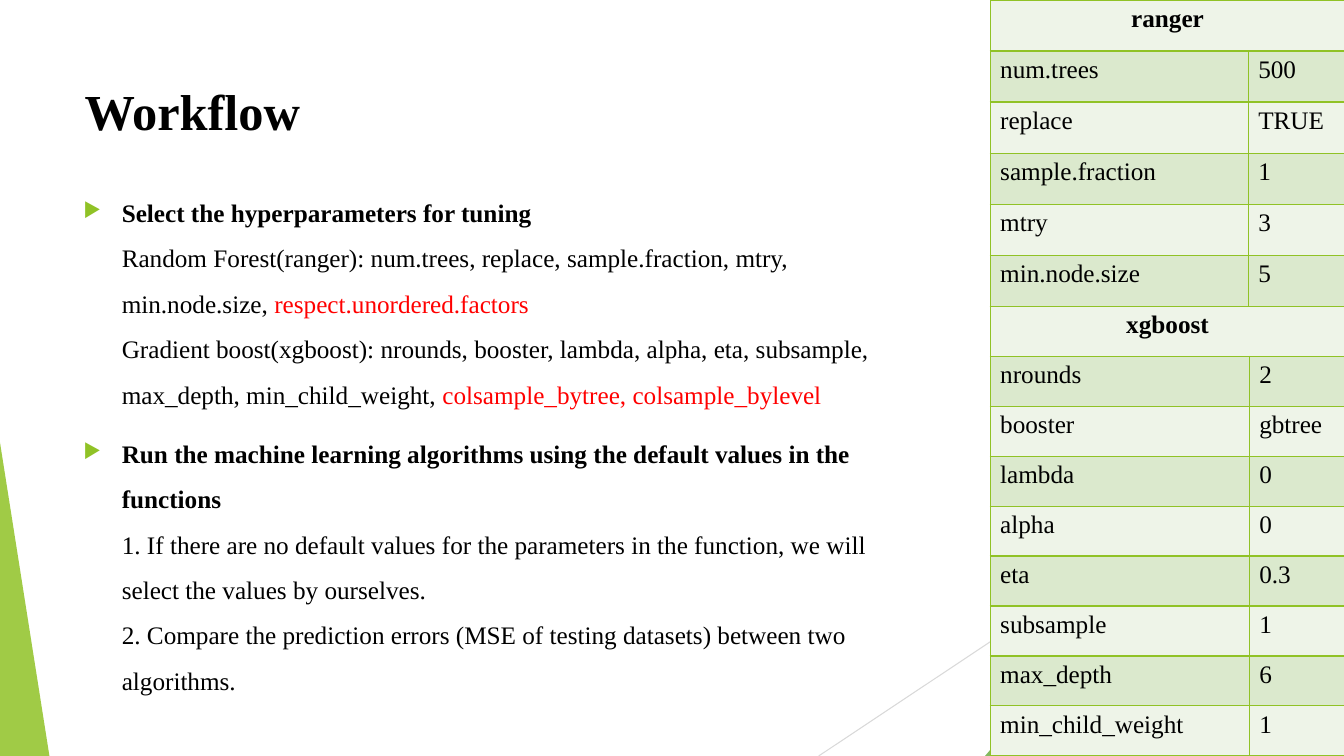
import pptx
import pptx.util
import pptx.dml.color
import pptx.enum.shapes
import pptx.enum.text
import pptx.oxml
import pptx.oxml.ns
import lxml.etree

# Content: body paragraphs hold (text, format) parts
BOLD, PLAIN, RED = {"bold": True}, {}, {"color": "FF0000"}
TITLE = [("Workflow", {"bold": True, "size": 36})]
BODY = [
    [("Select the hyperparameters for tuning\n", BOLD),
     ("Random Forest(ranger): num.trees, replace, sample.fraction, mtry, "
      "min.node.size, ", PLAIN),
     ("respect.unordered.factors\n", RED),
     ("Gradient boost(xgboost): nrounds, booster, lambda, alpha, eta, subsample, "
      "max_depth, min_child_weight, ", PLAIN),
     ("colsample_bytree, colsample_bylevel", RED)],
    [("Run the machine learning algorithms using the default values in the "
      "functions\n", BOLD),
     ("1. If there are no default values for the parameters in the function, "
      "we will select the values by ourselves.\n"
      "2. Compare the prediction errors (MSE of testing datasets) between two "
      "algorithms.", PLAIN)],
]
RANGER = [("ranger", ""), ("num.trees", "500"), ("replace", "TRUE"),
          ("sample.fraction", "1"), ("mtry", "3"), ("min.node.size", "5")]
XGBOOST = [("xgboost", ""), ("nrounds", "2"), ("booster", "gbtree"),
           ("lambda", "0"), ("alpha", "0"), ("eta", "0.3"), ("subsample", "1"),
           ("max_depth", "6"), ("min_child_weight", "1")]

# Layout and colours
WIDTH, HEIGHT = 13.33, 7.5
TABLE_LEFT, TABLE_WIDTH, RANGER_HEIGHT = 9.82, 3.52, 3.04
GREEN, BANDS = "90C226", ("EEF4E8", "DBE9CD")
DEFAULTS = {"name": "Times New Roman", "size": 18, "bold": False, "color": "000000"}
inch = pptx.util.Inches
MIDDLE = pptx.enum.text.PP_ALIGN.CENTER


def color(value):
    return pptx.dml.color.RGBColor.from_string(value)


def xml(parent, tag, **attributes):
    return lxml.etree.SubElement(parent, pptx.oxml.ns.qn(tag), attributes)


def write(paragraph, parts):
    for text, changes in parts:
        values = {**DEFAULTS, **changes}
        values["size"] = pptx.util.Pt(values["size"])
        ink = values.pop("color")
        for number, line in enumerate(text.split("\n")):
            if number:
                paragraph.add_line_break()
            if line:
                run = paragraph.add_run()
                run.text = line
                for key, value in values.items():
                    setattr(run.font, key, value)
                run.font.color.rgb = color(ink)


def add_text(slide, box, anchor, paragraphs):
    frame = slide.shapes.add_textbox(*map(inch, box)).text_frame
    frame.word_wrap = True
    frame.vertical_anchor = anchor
    for number, parts in enumerate(paragraphs):
        paragraph = frame.add_paragraph() if number else frame.paragraphs[0]
        write(paragraph, parts)
    return frame


def add_triangle(slide, box, apex, fill, opacity):
    shape = slide.shapes.add_shape(
        pptx.enum.shapes.MSO_SHAPE.ISOSCELES_TRIANGLE, *map(inch, box))
    shape.adjustments[0] = apex
    shape.shadow.inherit = False
    shape.line.fill.background()
    shape.fill.solid()
    shape.fill.fore_color.rgb = color(fill)
    for tint in shape.fill._xPr.iter(pptx.oxml.ns.qn("a:srgbClr")):
        xml(tint, "a:alpha", val=str(opacity * 1000))


def add_borders(cell):
    properties = cell._tc.get_or_add_tcPr()
    for number, side in enumerate(("a:lnL", "a:lnR", "a:lnT", "a:lnB")):
        border = xml(properties, side, w="12700")
        xml(xml(border, "a:solidFill"), "a:srgbClr", val=GREEN)
        properties.remove(border)
        properties.insert(number, border)


def add_parameters(slide, rows, top, height, name_width):
    table = slide.shapes.add_table(
        len(rows), 2, inch(TABLE_LEFT), inch(top), inch(TABLE_WIDTH), inch(height)).table
    table.columns[0].width = inch(name_width)
    table.columns[1].width = inch(TABLE_WIDTH - name_width)
    for r, values in enumerate(rows):
        table.rows[r].height = inch(height / len(rows))
        for c, text in enumerate(values):
            cell = table.cell(r, c)
            cell.fill.solid()
            cell.fill.fore_color.rgb = color(BANDS[r % 2])
            add_borders(cell)
            paragraph = cell.text_frame.paragraphs[0]
            write(paragraph, [(text, PLAIN if r else BOLD)])
            if r == 0:
                paragraph.alignment = MIDDLE
    table.cell(0, 0).merge(table.cell(0, 1))


presentation = pptx.Presentation()
presentation.slide_width, presentation.slide_height = inch(WIDTH), inch(HEIGHT)
slide = presentation.slides.add_slide(presentation.slide_layouts[6])

# Background decoration
diagonal = slide.shapes.add_connector(
    pptx.enum.shapes.MSO_CONNECTOR.STRAIGHT,
    inch(WIDTH), inch(4.03), inch(8.12), inch(HEIGHT))
diagonal.line.color.rgb = color("D9D9D9")
diagonal.line.width = pptx.util.Pt(0.75)
xml(diagonal._element.spPr, "a:effectLst")
add_triangle(slide, (9.77, 3.33, 3.56, 4.17), 1, "54A021", 72)
add_triangle(slide, (0, 4.39, 0.49, 3.11), 0, GREEN, 85)

# Title and bulleted body
anchors = pptx.enum.text.MSO_ANCHOR
add_text(slide, (0.74, 0.19, 9.4, 1.25), anchors.BOTTOM, [TITLE])
body = add_text(slide, (0.73, 1.76, 8.4, 5.74), anchors.TOP, BODY)
for paragraph in body.paragraphs:
    paragraph.line_spacing = 1.5
    paragraph.space_before = pptx.util.Pt(10)
    properties = paragraph._p.get_or_add_pPr()
    properties.set("marL", str(inch(0.38)))
    properties.set("indent", str(-inch(0.38)))
    xml(xml(properties, "a:buClr"), "a:srgbClr", val=GREEN)
    xml(properties, "a:buSzPct", val="80000")
    xml(properties, "a:buChar", char="\u25b6")

# Parameter tables, stacked down the right edge
add_parameters(slide, RANGER, 0, RANGER_HEIGHT, 2.56)
add_parameters(slide, XGBOOST, RANGER_HEIGHT, HEIGHT - RANGER_HEIGHT, 2.57)

presentation.save("out.pptx")
